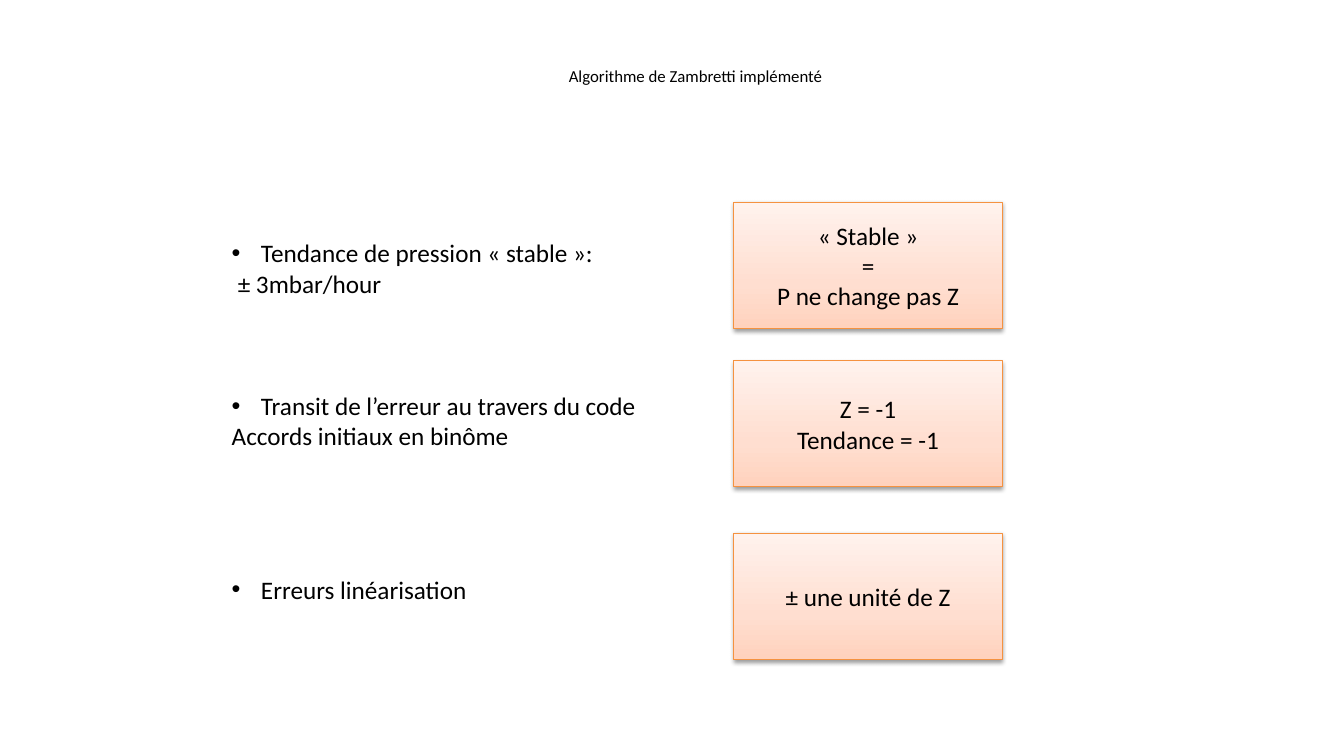
from copy import deepcopy

from lxml import etree
from pptx import Presentation
from pptx.dml.color import RGBColor
from pptx.enum import shapes, text
from pptx.oxml import ns
from pptx.util import Inches, Pt

COLORS = {"text": "000000", "border": "F59240", "shadow": "000000"}
BOX_GRADIENT = [(0, "FFD2BD"), (0.35, "FFDED0"), (1, "FFF2ED")]
FONT = "Calibri"
BODY_SIZE = 18
LINE_HEIGHT = 21.97  # points, one line of body text
BULLET_INDENT = 0.29

# wording, has bullet, left margin in inches, lines of space before
POINTS = [
    ("Tendance de pression «\u00a0stable\u00a0»:", True, BULLET_INDENT, 0),
    ("± 3mbar/hour", False, 0.06, 0),
    ("Transit de l’erreur au travers du code", True, BULLET_INDENT, 3),
    ("Accords initiaux en binôme", False, 0, 0),
    ("Erreurs linéarisation", True, BULLET_INDENT, 4),
]
CONSEQUENCES = [
    (2.01, ["«\u00a0Stable\u00a0»", "=", "P ne change pas Z"]),
    (3.58, ["Z = -1", "Tendance = -1"]),
    (5.29, ["± une unité de Z"]),
]


def rgb(name):
    return RGBColor.from_string(COLORS[name])


def add_run(paragraph, wording, size=BODY_SIZE):
    run = paragraph.add_run()
    run.text = wording
    run.font.name = FONT
    run.font.size = Pt(size)
    run.font.color.rgb = rgb("text")


def next_paragraph(frame, index):
    return frame.paragraphs[0] if index == 0 else frame.add_paragraph()


def add_title(slide, wording):
    title = slide.shapes.title
    title.left, title.top = Inches(2.4), Inches(0.41)
    title.width, title.height = Inches(9), Inches(0.69)
    title.text_frame.vertical_anchor = text.MSO_ANCHOR.MIDDLE
    heading = title.text_frame.paragraphs[0]
    heading.alignment = text.PP_ALIGN.CENTER
    add_run(heading, wording, 12)


def set_margin(paragraph, margin, bulleted):
    properties = paragraph._p.get_or_add_pPr()
    properties.set("marL", str(Inches(margin)))
    if bulleted:
        properties.set("indent", str(-Inches(margin)))
        etree.SubElement(properties, ns.qn("a:buFont"), typeface="Arial")
        etree.SubElement(properties, ns.qn("a:buChar"), char="•")


def add_points(slide):
    points = slide.shapes.add_textbox(
        Inches(2.2), Inches(2.31), Inches(4.61), Inches(4.89))
    frame = points.text_frame
    frame.word_wrap = True
    for index, (wording, bulleted, margin, gap) in enumerate(POINTS):
        point = next_paragraph(frame, index)
        if gap:
            point.space_before = Pt(gap * LINE_HEIGHT)
        set_margin(point, margin, bulleted)
        add_run(point, wording)


def fill_gradient(shape):
    shape.fill.gradient()
    shape.fill.gradient_angle = 90
    first = shape._element.spPr.find(".//" + ns.qn("a:gs"))
    first.addnext(deepcopy(first))
    for stop, (position, color) in zip(shape.fill.gradient_stops, BOX_GRADIENT):
        stop.position = position
        stop.color.rgb = RGBColor.from_string(color)


def add_shadow(shape):
    shape.shadow.inherit = False
    effects = shape._element.spPr.find(ns.qn("a:effectLst"))
    shadow = etree.SubElement(
        effects, ns.qn("a:outerShdw"), blurRad=str(Pt(3.1)),
        dist=str(Pt(1.6)), dir="5400000", rotWithShape="0")
    color = etree.SubElement(shadow, ns.qn("a:srgbClr"), val=COLORS["shadow"])
    etree.SubElement(color, ns.qn("a:alpha"), val="38000")


def add_consequence(slide, top, lines):
    box = slide.shapes.add_shape(
        shapes.MSO_SHAPE.RECTANGLE,
        Inches(7.28), Inches(top), Inches(2.66), Inches(1.25))
    fill_gradient(box)
    box.line.color.rgb = rgb("border")
    box.line.width = Pt(0.75)
    add_shadow(box)
    frame = box.text_frame
    frame.word_wrap = True
    frame.vertical_anchor = text.MSO_ANCHOR.MIDDLE
    for index, wording in enumerate(lines):
        line = next_paragraph(frame, index)
        line.alignment = text.PP_ALIGN.CENTER
        add_run(line, wording)


def main():
    deck = Presentation()
    deck.slide_width, deck.slide_height = Inches(13.33), Inches(7.5)
    slide = deck.slides.add_slide(deck.slide_layouts.get_by_name("Title Only"))
    add_title(slide, "Algorithme de Zambretti implémenté")
    add_points(slide)
    for top, lines in CONSEQUENCES:
        add_consequence(slide, top, lines)
    deck.save("out.pptx")


if __name__ == "__main__":
    main()
